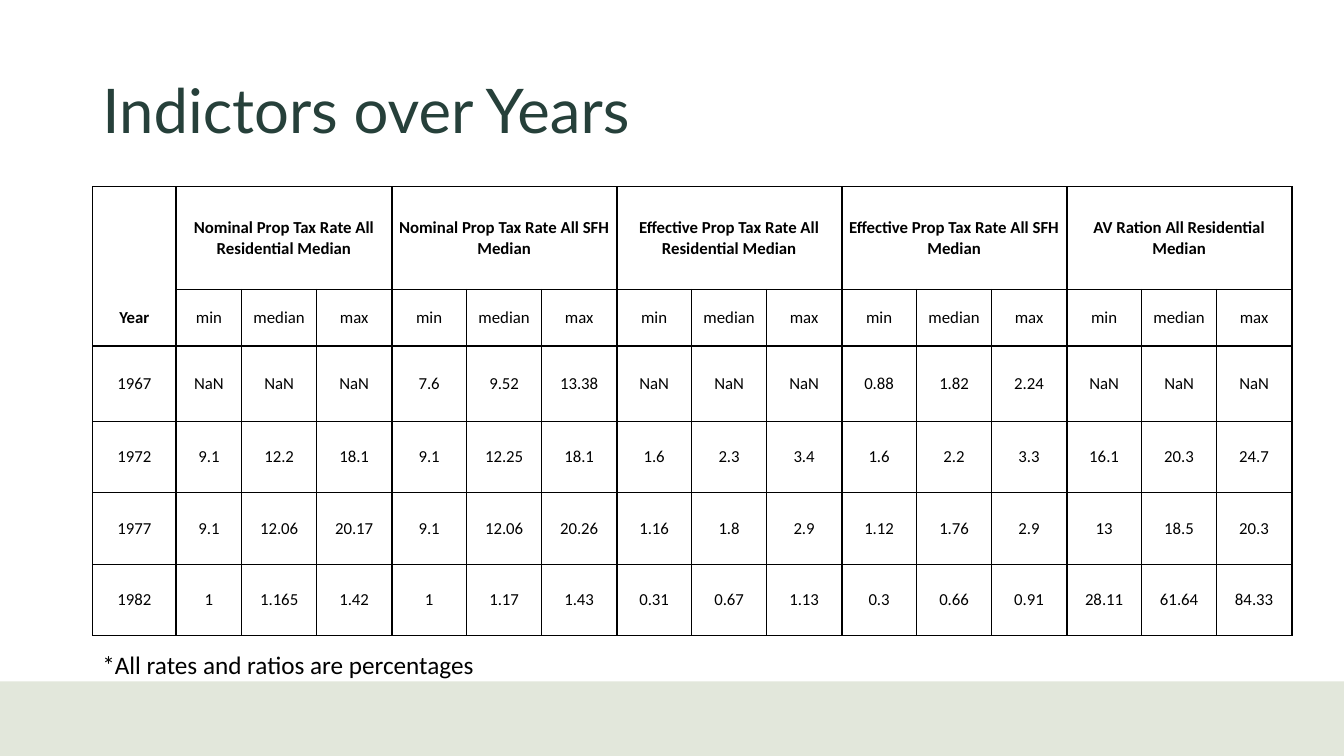
from dataclasses import dataclass

from lxml.etree import SubElement
from pptx import Presentation
from pptx.dml.color import RGBColor
from pptx.enum.shapes import MSO_SHAPE
from pptx.enum.text import MSO_ANCHOR, MSO_AUTO_SIZE, PP_ALIGN
from pptx.oxml.ns import qn
from pptx.slide import Slide
from pptx.table import _Cell
from pptx.text.text import _Paragraph
from pptx.util import Cm, Pt


@dataclass(frozen=True)
class Theme:
    green: str = "26403A"
    sage: str = "E2E7DB"
    black: str = "000000"
    heading_font: str = "Lato"
    body_font: str = "Calibri"
    title_size: float = 44
    note_size: float = 18
    table_size: float = 12
    thin: float = 0.5
    thick: float = 1.5


@dataclass(frozen=True)
class TextLine:
    text: str
    top: float
    width: float
    height: float
    font: str
    size: float
    color: str
    frame_format: dict
    line_spacing: float = 1.0


THEME = Theme()
LEFT = 2.33
SLIDE_WIDTH, SLIDE_HEIGHT = 33.87, 19.05
BAND_HEIGHT = 1.88

TITLE = TextLine("Indictors over Years", 1.02, 29.21, 3.68,
                 THEME.heading_font, THEME.title_size, THEME.green,
                 {"word_wrap": True, "vertical_anchor": MSO_ANCHOR.MIDDLE}, 0.9)
FOOTNOTE = TextLine("*All rates and ratios are percentages", 16.23, 19.58, 1.02,
                    THEME.body_font, THEME.note_size, THEME.black,
                    {"word_wrap": True, "auto_size": MSO_AUTO_SIZE.SHAPE_TO_FIT_TEXT})

INDICATORS = [
    "Nominal Prop Tax Rate All Residential Median",
    "Nominal Prop Tax Rate All SFH Median",
    "Effective Prop Tax Rate All Residential Median",
    "Effective Prop Tax Rate All SFH Median",
    "AV Ration All Residential Median",
]
STATISTICS = ["min", "median", "max"]
GROUP = len(STATISTICS)
RATES_BY_YEAR = {
    "1967": "NaN NaN NaN 7.6 9.52 13.38 NaN NaN NaN 0.88 1.82 2.24 NaN NaN NaN",
    "1972": "9.1 12.2 18.1 9.1 12.25 18.1 1.6 2.3 3.4 1.6 2.2 3.3 16.1 20.3 24.7",
    "1977": "9.1 12.06 20.17 9.1 12.06 20.26 1.16 1.8 2.9 1.12 1.76 2.9 13 18.5 20.3",
    "1982": "1 1.165 1.42 1 1.17 1.43 0.31 0.67 1.13 0.3 0.66 0.91 28.11 61.64 84.33",
}

TABLE_TOP = 4.7
COLUMN_WIDTHS = [2.11, 1.65] + [1.89] * (GROUP * len(INDICATORS) - 1)
ROW_HEIGHTS = [2.59, 1.42, 1.9, 1.8, 1.8, 1.8]
CELL_FORMAT = {
    "vertical_anchor": MSO_ANCHOR.MIDDLE,
    "margin_left": Cm(0.02),
    "margin_right": Cm(0.02),
    "margin_top": Cm(0.02),
    "margin_bottom": Cm(0),
}
PLAIN_TABLE_STYLE = "{2D5ABB26-0587-4C30-8999-92F81FD0307C}"


def apply_format(target: object, values: dict) -> None:
    for attribute, value in values.items():
        setattr(target, attribute, value)


def write(paragraph: _Paragraph, text: str, font: str, size: float, color: str,
          bold: bool = False) -> None:
    run = paragraph.add_run()
    run.text = text
    apply_format(run.font, {"name": font, "size": Pt(size), "bold": bold})
    run.font.color.rgb = RGBColor.from_string(color)


def add_text_line(slide: Slide, line: TextLine) -> None:
    box = slide.shapes.add_textbox(Cm(LEFT), Cm(line.top), Cm(line.width), Cm(line.height))
    apply_format(box.text_frame, line.frame_format)
    paragraph = box.text_frame.paragraphs[0]
    paragraph.line_spacing = line.line_spacing
    write(paragraph, line.text, line.font, line.size, line.color)


def add_bottom_band(slide: Slide) -> None:
    band = slide.shapes.add_shape(MSO_SHAPE.RECTANGLE, 0, Cm(SLIDE_HEIGHT - BAND_HEIGHT),
                                  Cm(SLIDE_WIDTH), Cm(BAND_HEIGHT))
    band.shadow.inherit = False
    band.fill.solid()
    band.fill.fore_color.rgb = RGBColor.from_string(THEME.sage)
    band.line.fill.background()


def border_widths(row: int, column: int) -> dict[str, float]:
    """Thick rules separate the indicators and close the header; Year has no inner rule."""
    def weight(is_thick: bool) -> float:
        return THEME.thick if is_thick else THEME.thin

    spans_group = row == 0 and column > 0
    widths = {
        "L": weight(spans_group or column % GROUP == 1),
        "R": weight(spans_group or column % GROUP == 0),
        "T": weight(row == 2),
        "B": weight(row == 1),
    }
    if column == 0 and row < 2:
        del widths["B" if row == 0 else "T"]
    return widths


def draw_borders(cell: _Cell, widths: dict[str, float]) -> None:
    properties = cell._tc.get_or_add_tcPr()
    for side, width in widths.items():
        line = SubElement(properties, qn(f"a:ln{side}"), w=str(Pt(width)))
        fill = SubElement(line, qn("a:solidFill"))
        SubElement(fill, qn("a:srgbClr"), val=THEME.black)


def table_rows() -> list[list[str]]:
    header = [""]
    for indicator in INDICATORS:
        header += [indicator] + [""] * (GROUP - 1)
    subheader = ["Year"] + STATISTICS * len(INDICATORS)
    return [header, subheader] + [[year, *rates.split()] for year, rates in RATES_BY_YEAR.items()]


def add_rates_table(slide: Slide) -> None:
    rates = slide.shapes.add_table(
        len(ROW_HEIGHTS), len(COLUMN_WIDTHS), Cm(LEFT), Cm(TABLE_TOP),
        Cm(sum(COLUMN_WIDTHS)), Cm(sum(ROW_HEIGHTS))).table
    apply_format(rates, {"first_row": False, "horz_banding": False})
    rates._tbl.tblPr.find(qn("a:tableStyleId")).text = PLAIN_TABLE_STYLE
    for column, width in zip(rates.columns, COLUMN_WIDTHS):
        column.width = Cm(width)
    for row, height in zip(rates.rows, ROW_HEIGHTS):
        row.height = Cm(height)

    for row, texts in enumerate(table_rows()):
        for column, text in enumerate(texts):
            cell = rates.cell(row, column)
            apply_format(cell, CELL_FORMAT)
            draw_borders(cell, border_widths(row, column))
            cell.fill.background()
            if text:
                paragraph = cell.text_frame.paragraphs[0]
                paragraph.alignment = PP_ALIGN.CENTER
                write(paragraph, text, THEME.body_font, THEME.table_size, THEME.black,
                      bold=row == 0 or text == "Year")

    for first in range(1, len(COLUMN_WIDTHS), GROUP):
        rates.cell(0, first).merge(rates.cell(0, first + GROUP - 1))


def main() -> None:
    deck = Presentation()
    apply_format(deck, {"slide_width": Cm(SLIDE_WIDTH), "slide_height": Cm(SLIDE_HEIGHT)})
    slide = deck.slides.add_slide(deck.slide_layouts[6])
    add_bottom_band(slide)
    add_text_line(slide, TITLE)
    add_rates_table(slide)
    add_text_line(slide, FOOTNOTE)
    deck.save("out.pptx")


if __name__ == "__main__":
    main()
